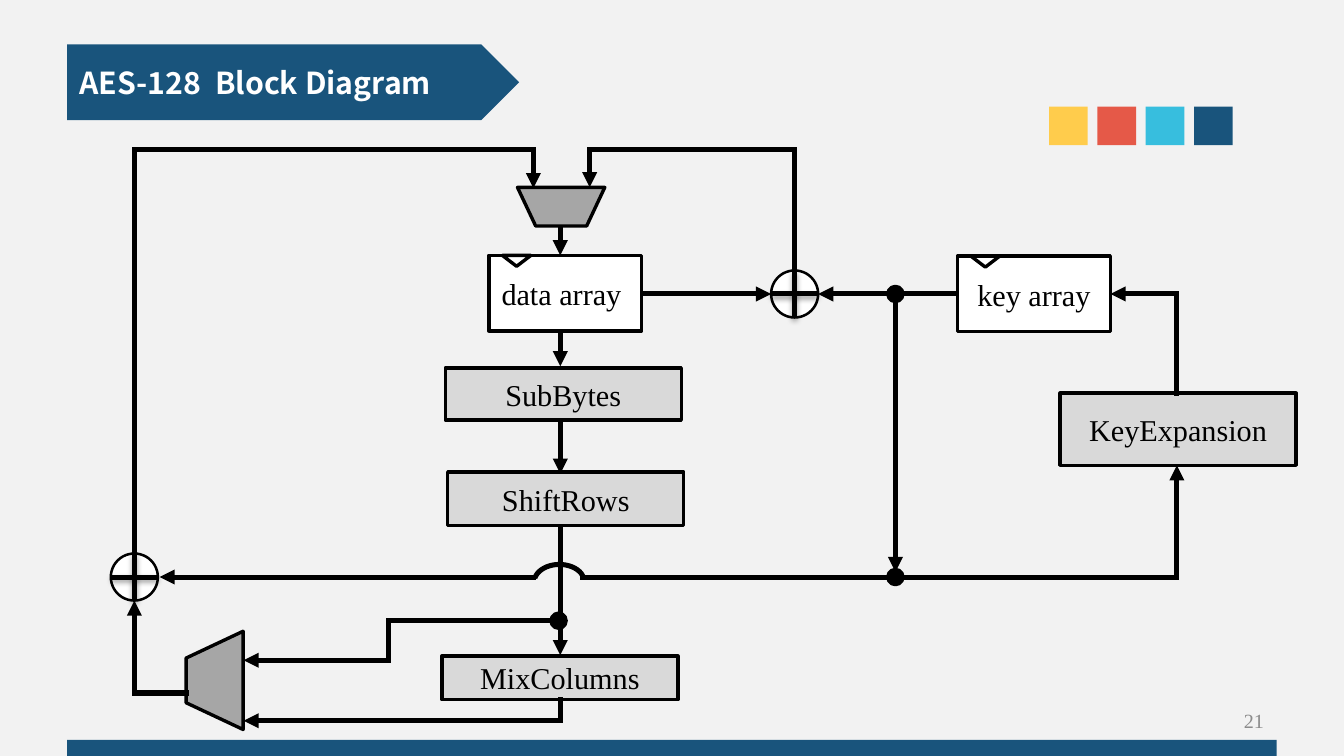
"""Build the AES-128 block diagram slide."""
from dataclasses import dataclass

from lxml import etree
from pptx import Presentation
from pptx.dml.color import RGBColor
from pptx.enum import shapes, text
from pptx.oxml import ns
from pptx.util import Pt


@dataclass(frozen=True)
class Theme:
    back: str = "F2F2F2"
    navy: str = "19547C"
    white: str = "FFFFFF"
    black: str = "000000"
    stage: str = "D9D9D9"
    mux: str = "A6A6A6"
    muted: str = "8C8C8C"
    title_font: str = "Noto Sans CJK SC"
    body_font: str = "Times New Roman"
    body_size: float = 18
    number_size: float = 12
    wire: float = 3
    border: float = 2
    ring: float = 1.5


T = Theme()
KIND = shapes.MSO_SHAPE

TITLE = "AES-128  Block Diagram"
PAGE = "21"
SWATCHES = ["FFCC4C", "E55948", "37BEDE", T.navy]

SPINE, LEFT, RIGHT = 333.5, 80, 700.5
XOR_X, TAP_X = 473, 533
KEY_Y, BUS_Y, SPLIT_Y, TOP_Y = 175, 343.5, 369.5, 89
STAGE_W, ARRAY_W, ARRAY_H, CLOCK_INSET = 140.5, 91, 45, 8
XOR_R, DOT_R = 14, 4.5

STAGES = [
    ("SubBytes", 265, 219, 31),
    ("ShiftRows", 266.5, 281, 32),
    ("MixColumns", 263, 390.5, 26),
    ("KeyExpansion", 631, 234, 43),
]
ARRAYS = [("data array ", 291, 152), ("key array", 570, 152.5)]
MUXES = [(308, 111.5, 52, 23, 180), (98.5, 388, 58.5, 34, 270)]
XORS = [(XOR_X, KEY_Y), (LEFT, BUS_Y)]
DOTS = [(TAP_X, KEY_Y), (TAP_X, BUS_Y), (SPINE - 1, SPLIT_Y)]
ROUTES = [
    [(SPINE, 135), (SPINE, 152)],
    [(SPINE, 197), (SPINE, 218)],
    [(SPINE, 250), (SPINE, 282)],
    [(SPINE, 313), (SPINE, 390)],
    [(SPINE, 416.5), (SPINE, 429), (145, 429)],
    [(SPINE, SPLIT_Y), (231, SPLIT_Y), (231, 393), (145, 393)],
    [(111, 412.5), (LEFT, 412.5), (LEFT, BUS_Y + XOR_R)],
    [(LEFT, BUS_Y - XOR_R), (LEFT, TOP_Y), (317.5, TOP_Y), (317.5, 112)],
    [(XOR_X, KEY_Y - XOR_R), (XOR_X, TOP_Y), (351, TOP_Y), (351, 111.5)],
    [(382, KEY_Y), (XOR_X - XOR_R, KEY_Y)],
    [(570, KEY_Y), (XOR_X + XOR_R, KEY_Y)],
    [(TAP_X, KEY_Y), (TAP_X, 340.5)],
    [(347, BUS_Y), (RIGHT, BUS_Y), (RIGHT, 277)],
    [(RIGHT, 234), (RIGHT, KEY_Y), (661, KEY_Y)],
    [(319, BUS_Y), (LEFT + XOR_R + 1, BUS_Y)],
]


def rgb(value):
    return RGBColor.from_string(value)


def write(sp, words, font, size, color, align, bold=False):
    tf = sp.text_frame
    tf.text = words
    tf.vertical_anchor = text.MSO_ANCHOR.MIDDLE
    p = tf.paragraphs[0]
    p.alignment = align
    f = p.runs[0].font
    f.name, f.size, f.bold = font, Pt(size), bold
    f.color.rgb = rgb(color)


def add_shape(s, kind, x, y, w, h, fill=None, width=0, turn=0):
    sp = s.shapes.add_shape(kind, Pt(x), Pt(y), Pt(w), Pt(h))
    sp.shadow.inherit = False
    sp.rotation = turn
    if fill:
        sp.fill.solid()
        sp.fill.fore_color.rgb = rgb(fill)
    else:
        sp.fill.background()
    if width:
        sp.line.color.rgb = rgb(T.black)
        sp.line.width = Pt(width)
    else:
        sp.line.fill.background()
    return sp


def add_box(s, words, x, y, w, h, fill):
    sp = add_shape(s, KIND.RECTANGLE, x, y, w, h, fill, T.border)
    write(sp, words, T.body_font, T.body_size, T.black, text.PP_ALIGN.CENTER)


def add_line(s, start, end, arrow=False, shadow=False):
    ends = [Pt(v) for v in (*start, *end)]
    line = s.shapes.add_connector(shapes.MSO_CONNECTOR.STRAIGHT, *ends)
    line.line.color.rgb = rgb(T.black)
    line.line.width = Pt(T.wire)
    ln = line.line._get_or_add_ln()
    if arrow:
        etree.SubElement(ln, ns.qn("a:tailEnd"), type="triangle")
    elif not shadow:
        ln.set("cap", "sq")
    effects = etree.SubElement(line.element.spPr, ns.qn("a:effectLst"))
    if shadow:
        outer = etree.SubElement(
            effects, ns.qn("a:outerShdw"), blurRad=str(Pt(3.1)),
            dist=str(Pt(1.8)), dir="5400000", rotWithShape="0")
        color = etree.SubElement(outer, ns.qn("a:srgbClr"), val=T.black)
        etree.SubElement(color, ns.qn("a:alpha"), val="35000")


def add_route(s, points):
    last = len(points) - 2
    for i, (start, end) in enumerate(zip(points, points[1:])):
        add_line(s, start, end, arrow=i == last)


def add_xor(s, x, y):
    r = XOR_R
    add_shape(s, KIND.OVAL, x - r, y - r, 2 * r, 2 * r, T.white, T.ring)
    add_line(s, (x, y - r), (x, y + r), shadow=True)
    add_line(s, (x - r, y), (x + r, y), shadow=True)


def add_frame(s):
    add_shape(s, KIND.PENTAGON, 40, 26.5, 269, 45, T.navy)
    add_shape(s, KIND.RECTANGLE, 40, 440.5, 720, 11.5, T.navy)
    for i, color in enumerate(SWATCHES):
        add_shape(s, KIND.RECTANGLE, 624.5 + 28.75 * i, 63.5, 23, 23, color)

    title = s.shapes.title
    title.left, title.top, title.width, title.height = map(Pt, (40, 34.5, 241, 29))
    write(title, TITLE, T.title_font, T.body_size, T.white, text.PP_ALIGN.LEFT, True)
    title.text_frame.word_wrap = False
    title.text_frame.auto_size = text.MSO_AUTO_SIZE.NONE
    title.element.getparent().append(title.element)

    number = s.shapes.add_textbox(Pt(573), Pt(417), Pt(186.5), Pt(24))
    number.text_frame.word_wrap = True
    write(number, PAGE, T.body_font, T.number_size, T.muted, text.PP_ALIGN.RIGHT)


def add_diagram(s):
    for words, x, y, h in STAGES:
        add_box(s, words, x, y, STAGE_W, h, T.stage)
    for words, x, y in ARRAYS:
        add_box(s, words, x, y, ARRAY_W, ARRAY_H, T.white)
        add_shape(s, KIND.ISOSCELES_TRIANGLE, x + CLOCK_INSET, y, 17, 6.5,
                  T.white, T.border, 180)
    for x, y, w, h, turn in MUXES:
        mux = add_shape(s, KIND.TRAPEZOID, x, y, w, h, T.mux, T.border, turn)
        mux.adjustments[0] = 0.47
    for points in ROUTES:
        add_route(s, points)
    bridge = add_shape(s, KIND.ARC, 318, 336, 30, 21, width=T.wire)
    bridge.adjustments[0], bridge.adjustments[1] = 113.55, 209.75
    for x, y in XORS:
        add_xor(s, x, y)
    for x, y in DOTS:
        add_shape(s, KIND.FLOWCHART_CONNECTOR, x - DOT_R, y - DOT_R,
                  2 * DOT_R, 2 * DOT_R, T.black, T.border)


def main():
    prs = Presentation()
    prs.slide_width, prs.slide_height = Pt(800), Pt(450)
    s = prs.slides.add_slide(prs.slide_layouts[5])
    s.background.fill.solid()
    s.background.fill.fore_color.rgb = rgb(T.back)
    add_frame(s)
    add_diagram(s)
    prs.save("out.pptx")


if __name__ == "__main__":
    main()
